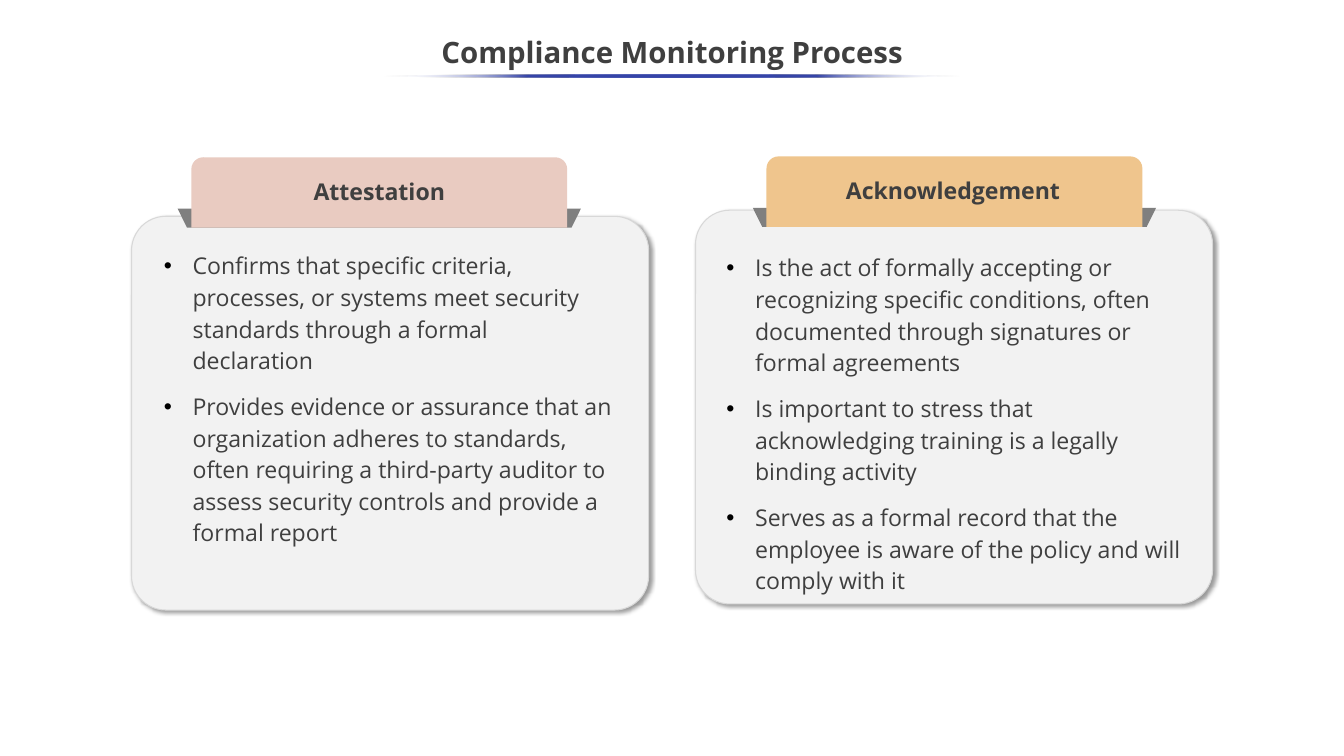
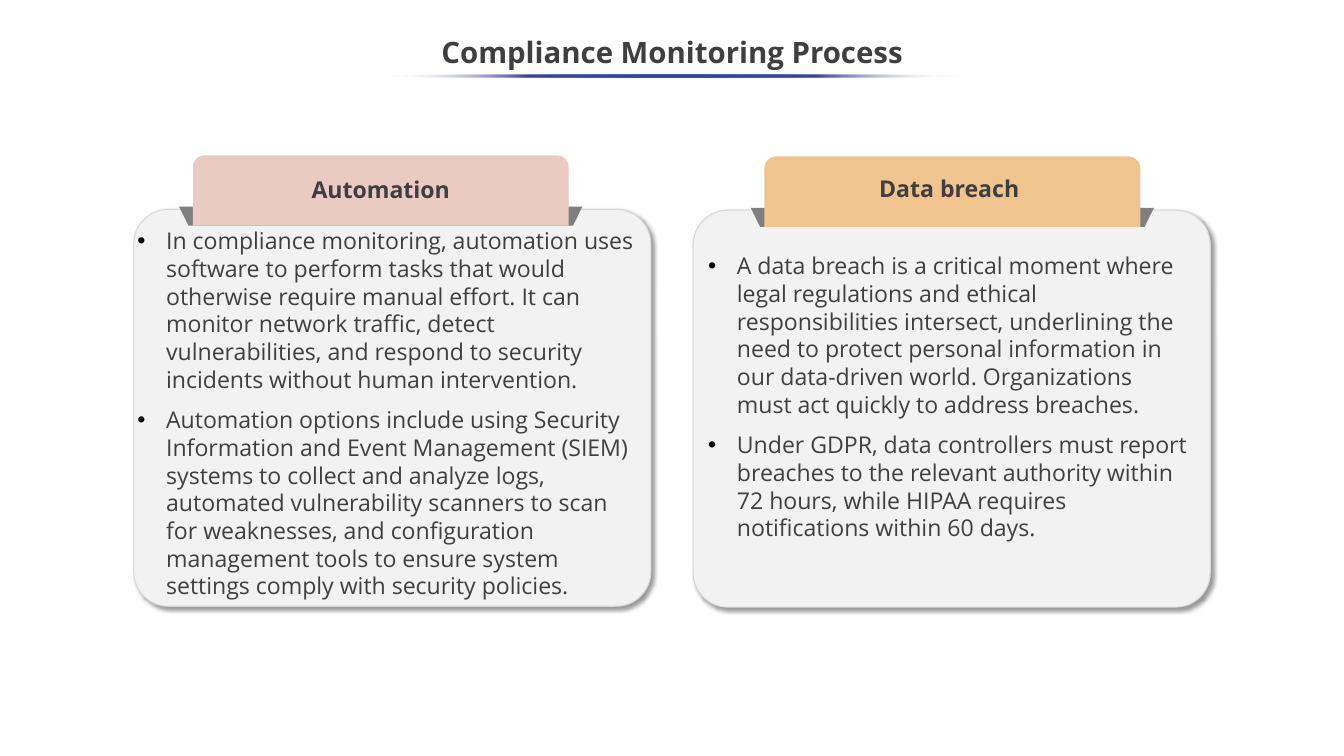
from pptx import Presentation
from pptx.dml.color import RGBColor
from pptx.enum.shapes import MSO_SHAPE as SHAPE
from pptx.enum.text import MSO_ANCHOR as ANCHOR, PP_ALIGN as ALIGN
from pptx.oxml import parse_xml
from pptx.oxml.ns import nsdecls, qn
from pptx.util import Pt

FONT = "Open Sans"
TEXT = RGBColor(0x3F, 0x3F, 0x3F)
CARD = RGBColor(0xF2, 0xF2, 0xF2)
BORDER = RGBColor(0xD8, 0xD8, 0xD8)
FOLD = RGBColor(0x7F, 0x7F, 0x7F)
PINK = RGBColor(0xE9, 0xCB, 0xC1)
AMBER = RGBColor(0xEF, 0xC5, 0x8D)
RULE = RGBColor(0x36, 0x45, 0xA9)
WHITE = RGBColor(0xFF, 0xFF, 0xFF)

TITLE = "Compliance Monitoring Process"
CARD_W, TAB_W, TAB_H = 492.5, 358, 67
FOLD_W, FOLD_H, FOLD_DX, FOLD_DY = 384, 18, -13, 49
INDENT = 27.4

# Per slide: line spacing, gap between bullets, card height, cards.
# Per card: heading, tab colour, card corner, tab corner, label corner,
# body box, body anchor, bullets.
SLIDES = [
    (1.14, 13.7, 375, [
        ("Attestation", PINK, (125.3, 206), (182.2, 149.8), (182.2, 165.6),
         (149, 232.6, 441.4, 294.5), ANCHOR.TOP, [
            "Confirms that specific criteria, processes, or systems meet "
            "security standards through a formal declaration",
            "Provides evidence or assurance that an organization adheres to "
            "standards, often requiring a third-party auditor to assess "
            "security controls and provide a formal report"]),
        ("Acknowledgement", AMBER, (662.4, 200.2), (730, 149), (728.6, 164.2),
         (684.7, 232.6, 448.6, 339), ANCHOR.MIDDLE, [
            "Is the act of formally accepting or recognizing specific "
            "conditions, often documented through signatures or formal "
            "agreements",
            "Is important to stress that acknowledging training is a legally "
            "binding activity",
            "Serves as a formal record that the employee is aware of the "
            "policy and will comply with it"]),
    ]),
    (1.0, 12, 378, [
        ("Automation", PINK, (127.4, 199.4), (183.6, 147.9), (183.6, 163.4),
         (123.8, 212.4, 496, 365.8), ANCHOR.TOP, [
            "In compliance monitoring, automation uses software to perform "
            "tasks that would otherwise require manual effort. It can monitor "
            "network traffic, detect vulnerabilities, and respond to security "
            "incidents without human intervention.",
            "Automation options include using Security Information and Event "
            "Management (SIEM) systems to collect and analyze logs, automated "
            "vulnerability scanners to scan for weaknesses, and configuration "
            "management tools to ensure system settings comply with security "
            "policies."]),
        ("Data breach", AMBER, (660.2, 200.2), (728, 149), (725, 162.7),
         (667.4, 234.7, 473, 286), ANCHOR.MIDDLE, [
            "A data breach is a critical moment where legal regulations and "
            "ethical responsibilities intersect, underlining the need to "
            "protect personal information in our data-driven world. "
            "Organizations must act quickly to address breaches.",
            "Under GDPR, data controllers must report breaches to the "
            "relevant authority within 72 hours, while HIPAA requires "
            "notifications within 60 days."]),
    ]),
]


def add_box(shapes, kind, x, y, w, h, fill, adj=None):
    sp = shapes.add_shape(kind, Pt(x), Pt(y), Pt(w), Pt(h))
    sp.shadow.inherit = False
    sp.fill.solid()
    sp.fill.fore_color.rgb = fill
    sp.line.fill.background()
    if adj is not None:
        sp.adjustments[0] = adj
    return sp


def add_text(shapes, x, y, w, h, lines, size, bold=False, align=ALIGN.CENTER,
             anchor=ANCHOR.TOP, spacing=1.0, gap=0, bullet=False):
    tf = shapes.add_textbox(Pt(x), Pt(y), Pt(w), Pt(h)).text_frame
    tf.word_wrap = True
    tf.vertical_anchor = anchor
    for i, line in enumerate(lines):
        p = tf.paragraphs[0] if i == 0 else tf.add_paragraph()
        p.alignment = align
        p.line_spacing = spacing
        if i:
            p.space_before = Pt(gap)
        if bullet:
            pPr = p._p.get_or_add_pPr()
            pPr.set("marL", str(Pt(INDENT)))
            pPr.set("indent", str(-Pt(INDENT)))
            for xml in ('<a:buClr %s><a:srgbClr val="000000"/></a:buClr>',
                        '<a:buFont %s typeface="Arial"/>',
                        '<a:buChar %s char="•"/>'):
                pPr.append(parse_xml(xml % nsdecls("a")))
        r = p.add_run()
        r.text = line
        r.font.name, r.font.size, r.font.bold = FONT, Pt(size), bold
        r.font.color.rgb = TEXT


prs = Presentation()
prs.slide_width, prs.slide_height = Pt(1280), Pt(720)

for spacing, gap, card_h, cards in SLIDES:
    s = prs.slides.add_slide(prs.slide_layouts[6])

    # Title and the line under it, fading out at both ends
    add_text(s.shapes, 0, 24.5, 1280, 54, [TITLE], 28, bold=True,
             anchor=ANCHOR.MIDDLE, spacing=0.9)
    rule = add_box(s.shapes, SHAPE.OVAL, 365, 71.3, 550, 3, RULE)
    stops = "".join(
        f'<a:gs pos="{pos * 1000}"><a:srgbClr val="{color}">'
        f'<a:alpha val="{alpha * 1000}"/></a:srgbClr></a:gs>'
        for pos, color, alpha in [(0, WHITE, 0), (25, RULE, 100), (50, RULE, 100),
                                  (75, RULE, 100), (100, WHITE, 0)])
    spPr = rule._element.spPr
    spPr.replace(spPr.find(qn("a:solidFill")), parse_xml(
        f'<a:gradFill {nsdecls("a")} rotWithShape="1"><a:gsLst>{stops}</a:gsLst>'
        '<a:lin ang="10800000" scaled="0"/></a:gradFill>'))

    for heading, color, card_at, tab_at, label_at, body, anchor, bullets in cards:
        # Card with a soft shadow
        card = add_box(s.shapes, SHAPE.ROUNDED_RECTANGLE, *card_at, CARD_W, card_h,
                       CARD, 0.087)
        card.line.color.rgb = BORDER
        card.line.width = Pt(1)
        card._element.spPr.find(qn("a:effectLst")).append(parse_xml(
            f'<a:outerShdw {nsdecls("a")} blurRad="{Pt(4)}" dist="{Pt(3)}" '
            'dir="2700000" algn="tl" rotWithShape="0"><a:srgbClr val="000000">'
            '<a:alpha val="40000"/></a:srgbClr></a:outerShdw>'))

        # Heading tab folded over the card
        tab = s.shapes.add_group_shape().shapes
        tab_x, tab_y = tab_at
        fold = add_box(tab, SHAPE.TRAPEZOID, tab_x + FOLD_DX, tab_y + FOLD_DY,
                       FOLD_W, FOLD_H, FOLD, 0.494)
        fold.rotation = 180
        add_box(tab, SHAPE.ROUND_2_SAME_RECTANGLE, tab_x, tab_y, TAB_W, TAB_H,
                color, 0.17)
        add_text(tab, *label_at, TAB_W, 34, [heading], 22, bold=True)

        # Bullets
        add_text(s.shapes, *body, bullets, 22, align=ALIGN.LEFT, anchor=anchor,
                 spacing=spacing, gap=gap, bullet=True)

prs.save("out.pptx")
